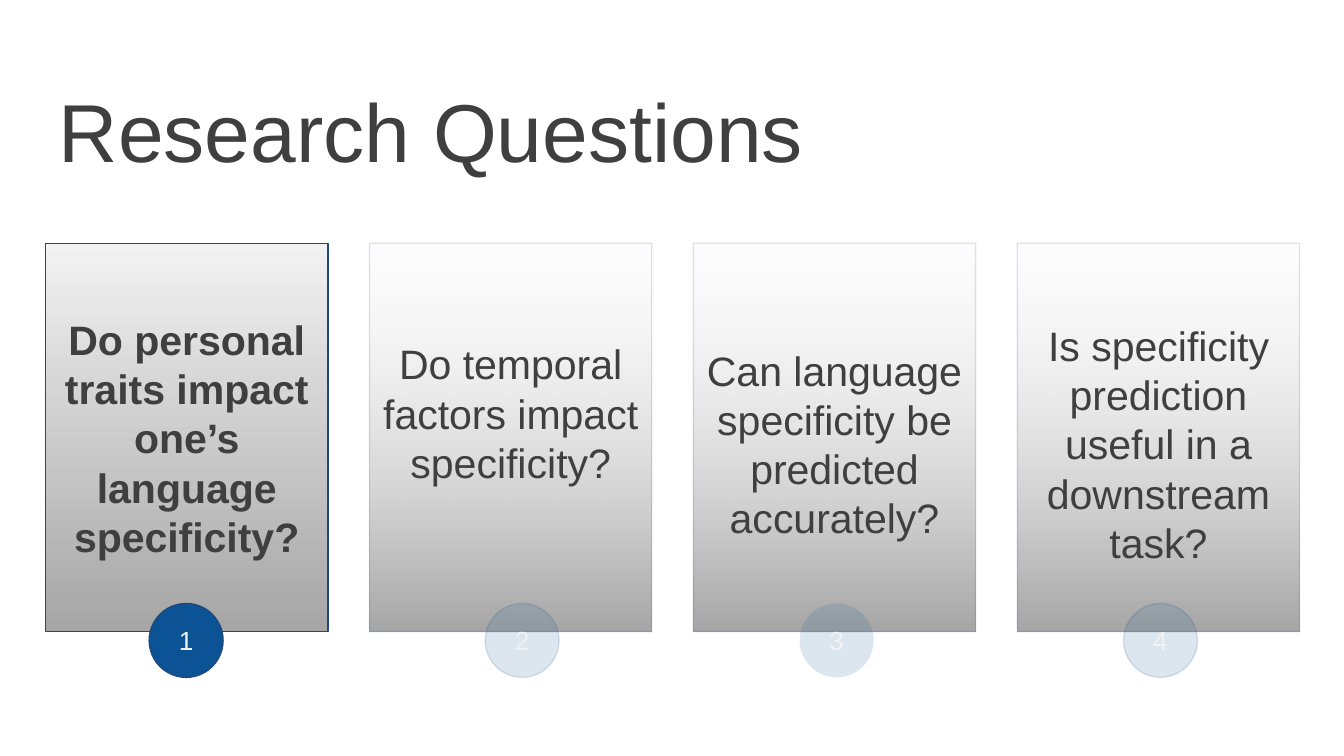
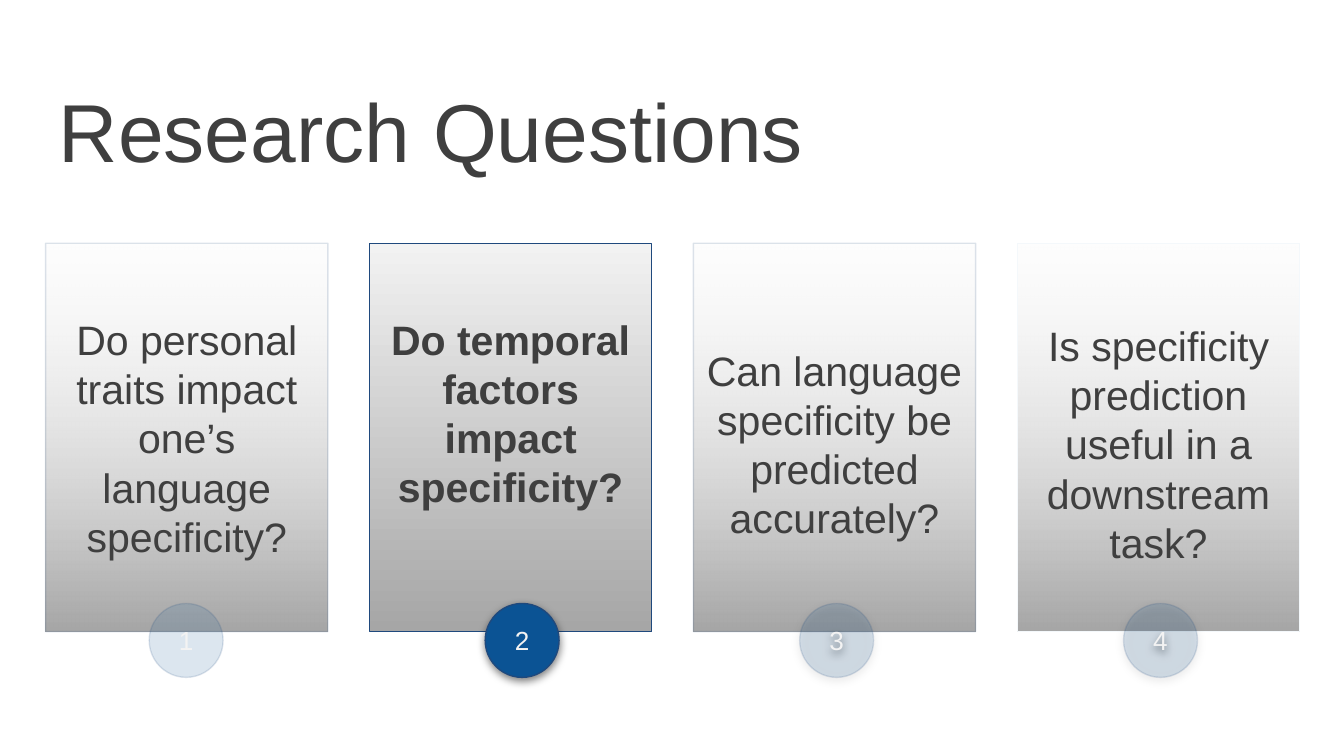
from lxml import etree
from pptx import Presentation
from pptx.dml.color import RGBColor
from pptx.enum.shapes import MSO_SHAPE
from pptx.enum.text import MSO_ANCHOR, PP_ALIGN
from pptx.oxml.ns import qn
from pptx.util import Inches, Pt

RECTANGLE, OVAL = MSO_SHAPE.RECTANGLE, MSO_SHAPE.OVAL
MIDDLE, CENTER, LEFT = MSO_ANCHOR.MIDDLE, PP_ALIGN.CENTER, PP_ALIGN.LEFT

FONT = "Arial"
INK = RGBColor(0x3F, 0x3F, 0x3F)
CARD_TOP_COLOR = RGBColor(0xF2, 0xF2, 0xF2)
CARD_BOTTOM_COLOR = RGBColor(0xA6, 0xA6, 0xA6)
OUTLINE = RGBColor(0x1F, 0x49, 0x7D)
PALE_OUTLINE = RGBColor(0xF4, 0xF8, 0xFB)
DISK_BLUE = RGBColor(0x0B, 0x53, 0x94)
DISK_TEXT = RGBColor(0xF3, 0xF3, 0xF3)
SHADOW_BLACK = RGBColor(0, 0, 0)
FADED = 14  # percent opacity of a question that is not in focus

TITLE = "Research Questions"
# question, left of its number disk, top inset, bottom inset
QUESTIONS = [
    ("Do personal traits impact one’s language specificity?", 1.11, 0.1, 0.1),
    ("Do temporal factors impact specificity?", 3.61, 0.1, 0.47),
    ("Can language specificity be predicted accurately?", 5.95, 0.19, 0.1),
    ("Is specificity prediction useful in a downstream task?", 8.36, 0.19, 0.1),
]
# question numbers that get each treatment
SLIDES = [
    {"focus": 1, "shadowed": (), "bare_disks": (3,), "pale_cards": ()},
    {"focus": 2, "shadowed": (2, 3, 4), "bare_disks": (), "pale_cards": (4,)},
]

SLIDE_WIDTH = Inches(10)
SLIDE_HEIGHT = SLIDE_WIDTH * 9 // 16
CARD_LEFT, CARD_TOP, CARD_WIDTH, CARD_HEIGHT = 0.34, 1.81, 2.1, 2.89
CARD_STEP = 2.41
DISK_TOP, DISK_SIZE = 4.49, 0.55


def set_opacity(parent, percent):
    """Make the first RGB colour under an XML element partly transparent."""
    if percent < 100:
        color = next(parent.iter(qn("a:srgbClr")))
        etree.SubElement(color, qn("a:alpha"), val=str(percent * 1000))


def add_soft_shadow(shape):
    effects = shape._element.spPr.find(qn("a:effectLst"))
    shadow = etree.SubElement(effects, qn("a:outerShdw"), blurRad=str(Pt(4.5)),
                              dist=str(Pt(1.5)), dir="5400000", rotWithShape="0")
    etree.SubElement(shadow, qn("a:srgbClr"), val=str(SHADOW_BLACK))
    set_opacity(shadow, 50)


def write(shape, text, size, color, align=CENTER, bold=False, top=0.1, bottom=0.1):
    frame = shape.text_frame
    frame.word_wrap = True
    frame.vertical_anchor = MIDDLE
    frame.margin_left = frame.margin_right = Inches(0.1)
    frame.margin_top, frame.margin_bottom = Inches(top), Inches(bottom)
    para = frame.paragraphs[0]
    para.text = text
    para.alignment = align
    font = para.font
    font.name, font.size, font.bold = FONT, Pt(size), bold
    font.color.rgb = color
    return para


def add_plain_shape(page, preset, left, top, width, height):
    shape = page.shapes.add_shape(preset, Inches(left), Inches(top),
                                  Inches(width), Inches(height))
    shape.shadow.inherit = False
    return shape


def set_outline(shape, color, opacity):
    shape.line.color.rgb = color
    shape.line.width = Pt(0.75)
    set_opacity(shape._element.spPr.find(qn("a:ln")), opacity)


def add_card(page, left, question, insets, focused, pale):
    opacity = 100 if focused else FADED
    card = add_plain_shape(page, RECTANGLE, left, CARD_TOP, CARD_WIDTH, CARD_HEIGHT)
    card.fill.gradient()
    card.fill.gradient_angle = 270
    first, last = card.fill.gradient_stops
    first.color.rgb, last.color.rgb = CARD_TOP_COLOR, CARD_BOTTOM_COLOR
    set_opacity(card._element.spPr.find(qn("a:gradFill")), opacity)
    if pale:
        set_outline(card, PALE_OUTLINE, 100)
    else:
        set_outline(card, OUTLINE, opacity)
    top, bottom = insets
    para = write(card, question, 22, INK, bold=focused, top=top, bottom=bottom)
    para.space_before = Pt(6.4)


def add_disk(page, left, number, focused, bare, shadowed):
    opacity = 100 if focused else FADED
    disk = add_plain_shape(page, OVAL, left, DISK_TOP, DISK_SIZE, DISK_SIZE)
    disk.fill.solid()
    disk.fill.fore_color.rgb = DISK_BLUE
    set_opacity(disk._element.spPr.find(qn("a:solidFill")), opacity)
    if bare:
        disk.line.fill.background()
    else:
        set_outline(disk, OUTLINE, opacity)
    if shadowed:
        add_soft_shadow(disk)
    write(disk, str(number), 14, DISK_TEXT)


def add_question_slide(deck, style):
    page = deck.slides.add_slide(deck.slide_layouts[6])
    title = page.shapes.add_textbox(Inches(0.34), Inches(0.65), Inches(9.32), Inches(0.63))
    write(title, TITLE, 44, INK, align=LEFT, top=0.05, bottom=0.05)
    for number, (question, disk_left, *insets) in enumerate(QUESTIONS, 1):
        focused = number == style["focus"]
        card_left = CARD_LEFT + (number - 1) * CARD_STEP
        add_card(page, card_left, question, insets, focused, number in style["pale_cards"])
        add_disk(page, disk_left, number, focused,
                 number in style["bare_disks"], number in style["shadowed"])


def main():
    deck = Presentation()
    deck.slide_width, deck.slide_height = SLIDE_WIDTH, SLIDE_HEIGHT
    for style in SLIDES:
        add_question_slide(deck, style)
    deck.save("out.pptx")


if __name__ == "__main__":
    main()
